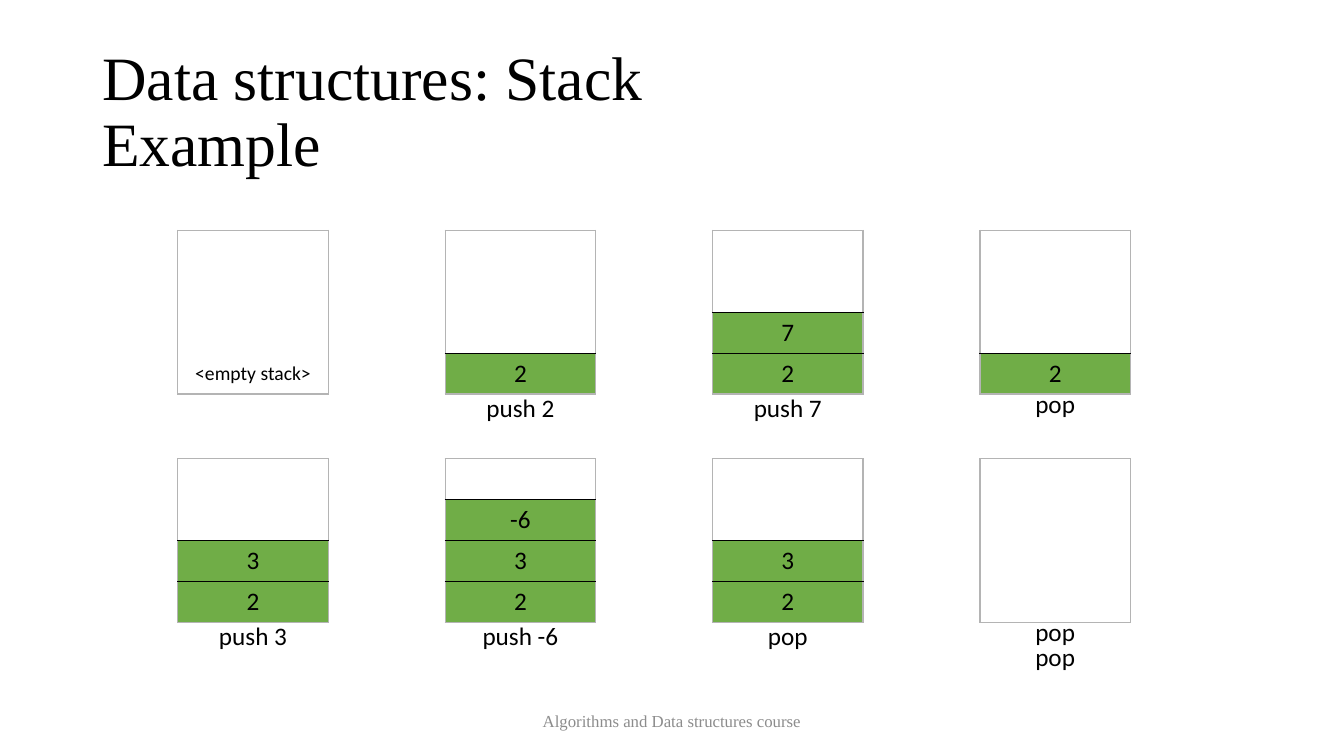
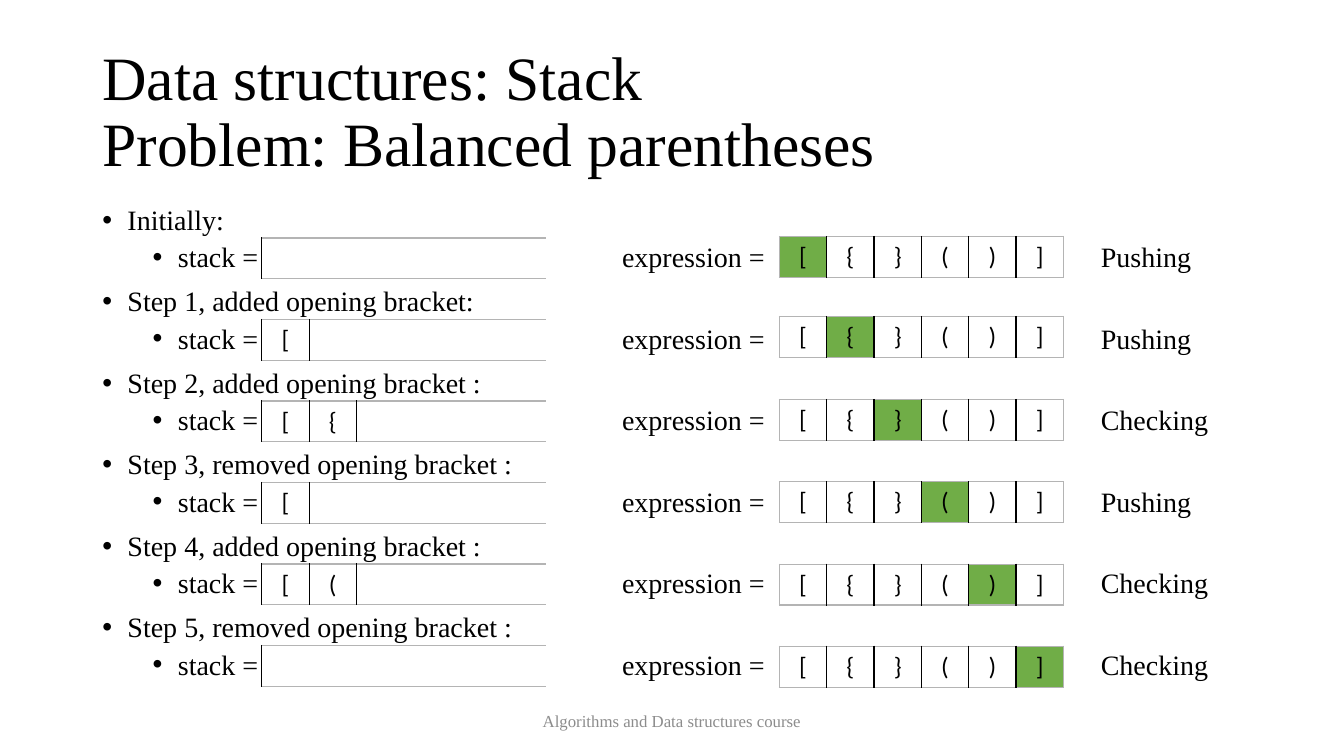
"""Build two slides on stacks: a push and pop example, and balanced parentheses."""
from lxml.etree import SubElement
from pptx import Presentation
from pptx.dml.color import RGBColor
from pptx.enum.text import MSO_ANCHOR, PP_ALIGN
from pptx.oxml.ns import qn
from pptx.util import Pt

COLOURS = {"text": "000000", "footer": "8C8C8C", "filled": "70AD47", "outline": "B4B4B4"}
SERIF, SANS = "Times New Roman", "Calibri"
PLAIN_TABLE = "{2D5ABB26-0587-4C30-8999-92F81FD0307C}"
ROW_HEIGHT = 29.2
STACK_DEPTH = 4
EXPRESSION = "[{}()]"
BRACKET_WIDTH = 33.84

STATES = [
    ([], []),
    (["2"], ["push 2"]),
    (["7", "2"], ["push 7"]),
    (["2"], ["pop"]),
    (["3", "2"], ["push 3"]),
    (["-6", "3", "2"], ["push -6"]),
    (["3", "2"], ["pop"]),
    ([], ["pop", "pop"]),
]

STEPS = [
    ("Initially:", "", "Pushing", 168.9),
    ("Step 1, added opening bracket:", "[", "Pushing", 226),
    ("Step 2, added opening bracket :", "[{", "Checking", 285.3),
    ("Step 3, removed opening bracket :", "[", "Pushing", 344.2),
    ("Step 4, added opening bracket :", "[(", "Checking", 403),
    ("Step 5, removed opening bracket :", "", "Checking", 461.6),
]


def style_font(paragraph, size, name=SERIF, colour="text"):
    paragraph.font.size = Pt(size)
    paragraph.font.name = name
    paragraph.font.color.rgb = RGBColor.from_string(COLOURS[colour])


def add_frame(page, left, top, width, height, anchor=MSO_ANCHOR.TOP):
    frame = page.shapes.add_textbox(Pt(left), Pt(top), Pt(width), Pt(height)).text_frame
    frame.word_wrap = True
    frame.vertical_anchor = anchor
    return frame


def add_page(deck, title):
    page = deck.slides.add_slide(deck.slide_layouts[6])
    heading = add_frame(page, 66, 29, 828, 104, MSO_ANCHOR.MIDDLE).paragraphs[0]
    heading.text = title
    heading.line_spacing = 0.9
    style_font(heading, 44)
    footer = add_frame(page, 318, 500.5, 324, 29, MSO_ANCHOR.MIDDLE).paragraphs[0]
    footer.text = "Algorithms and Data structures course"
    footer.alignment = PP_ALIGN.CENTER
    style_font(footer, 12, colour="footer")
    return page


def add_grid(page, left, top, column_width, rows, columns):
    frame = page.shapes.add_table(rows, columns, Pt(left), Pt(top),
                                  Pt(column_width * columns), Pt(ROW_HEIGHT * rows))
    table = frame.table
    table.first_row = table.horz_banding = False
    table._tbl.tblPr.find(qn("a:tableStyleId")).text = PLAIN_TABLE
    for column in table.columns:
        column.width = Pt(column_width)
    for row in table.rows:
        row.height = Pt(ROW_HEIGHT)
    return table


def style_cell(cell, text, sides, filled, size=18):
    paragraph = cell.text_frame.paragraphs[0]
    paragraph.text = text
    paragraph.alignment = PP_ALIGN.CENTER
    style_font(paragraph, size, SANS)
    cell.vertical_anchor = MSO_ANCHOR.MIDDLE
    properties = cell._tc.get_or_add_tcPr()
    for side in "LRTB":
        line = SubElement(properties, qn(f"a:ln{side}"), w=str(Pt(1)))
        if side in sides:
            solid = SubElement(line, qn("a:solidFill"))
            SubElement(solid, qn("a:srgbClr"), val=COLOURS[sides[side]])
        else:
            SubElement(line, qn("a:noFill"))
    if filled:
        cell.fill.solid()
        cell.fill.fore_color.rgb = RGBColor.from_string(COLOURS["filled"])
    else:
        cell.fill.background()


def add_stack(page, left, top, width, values):
    table = add_grid(page, left, top, width, STACK_DEPTH, 1)
    first = STACK_DEPTH - len(values)
    edges = dict.fromkeys(range(first, STACK_DEPTH), "text")
    edges.update({0: "outline", STACK_DEPTH: "outline"})
    for row in range(STACK_DEPTH):
        sides = {"L": "outline", "R": "outline"}
        sides.update({side: edges[edge] for side, edge in (("T", row), ("B", row + 1))
                      if edge in edges})
        text = values[row - first] if row >= first else ""
        style_cell(table.cell(row, 0), text, sides, row >= first)
    if not values:
        return table.cell(STACK_DEPTH - 1, 0).text_frame.paragraphs[0]


def add_caption(page, left, top, width, text):
    caption = add_frame(page, left, top, width, 29).paragraphs[0]
    caption.text = text
    caption.alignment = PP_ALIGN.CENTER
    style_font(caption, 18, SANS)


def add_brackets(page, left, top, brackets, edges, columns=len(EXPRESSION), current=None):
    width = BRACKET_WIDTH * len(EXPRESSION) / columns
    table = add_grid(page, left, top, width, 1, columns)
    for column, text in enumerate(brackets.ljust(columns)):
        sides = {"T": "outline", "B": "outline"}
        sides.update({side: edges[edge] for side, edge in (("L", column), ("R", column + 1))
                      if edge in edges})
        style_cell(table.cell(0, column), text.strip(), sides, column == current)


def add_bullet(paragraph, text, level):
    paragraph.text = text
    paragraph.level = level
    paragraph.line_spacing = 0.9
    paragraph.space_before = Pt(5 if level else 10)
    properties = paragraph._p.get_or_add_pPr()
    properties.set("marL", str(Pt(54 if level else 18)))
    properties.set("indent", str(Pt(-18)))
    SubElement(properties, qn("a:buFont"), typeface="Arial")
    SubElement(properties, qn("a:buChar"), char="•")
    style_font(paragraph, 20)


def add_label(page, left, top, width, text):
    frame = add_frame(page, left, top, width, 22)
    frame.margin_left = frame.margin_right = frame.margin_top = frame.margin_bottom = 0
    label = frame.paragraphs[0]
    label.text = text
    label.line_spacing = 0.9
    style_font(label, 20)


def build_example(deck):
    page = add_page(deck, "Data structures: Stack\vExample")
    width, columns = 107.5, 4
    for index, (values, captions) in enumerate(STATES):
        row, column = divmod(index, columns)
        left, top = 127 + 191 * column, 164.7 + 162.9 * row
        empty = add_stack(page, left, top, width, values)
        if empty is not None and not captions:
            empty.text = "<empty stack>"
            style_font(empty, 14, SANS)
        lift = 2.8 if column == columns - 1 else 0
        for line, caption in enumerate(captions):
            add_caption(page, left, top + 112 - lift + 18 * line, width, caption)


def build_parentheses(deck):
    page = add_page(deck, "Data structures: Stack\vProblem: Balanced parentheses")
    frame = add_frame(page, 66, 143.8, 380, 343)
    inner = dict.fromkeys(range(1, len(EXPRESSION)), "text")
    expression_edges = {**inner, 0: "outline", len(EXPRESSION): "outline"}
    for index, (step, stack, action, expression_top) in enumerate(STEPS):
        paragraph = frame.add_paragraph() if index else frame.paragraphs[0]
        add_bullet(paragraph, step, 0)
        add_bullet(frame.add_paragraph(), "stack =", 1)
        label_top = 173.8 + 58.25 * index
        add_label(page, 444.3, label_top, 110, "expression =")
        add_label(page, 786.3, label_top, 100, action)
        stack_edges = dict.fromkeys(range(len(stack) + 1), "text")
        add_brackets(page, 187, 170 + 58.2 * index, stack, stack_edges,
                     len(EXPRESSION) if index else 1)
        add_brackets(page, 556.7, expression_top, EXPRESSION, expression_edges, current=index)


def main():
    deck = Presentation()
    deck.slide_width, deck.slide_height = Pt(960), Pt(540)
    build_example(deck)
    build_parentheses(deck)
    deck.save("out.pptx")


if __name__ == "__main__":
    main()
